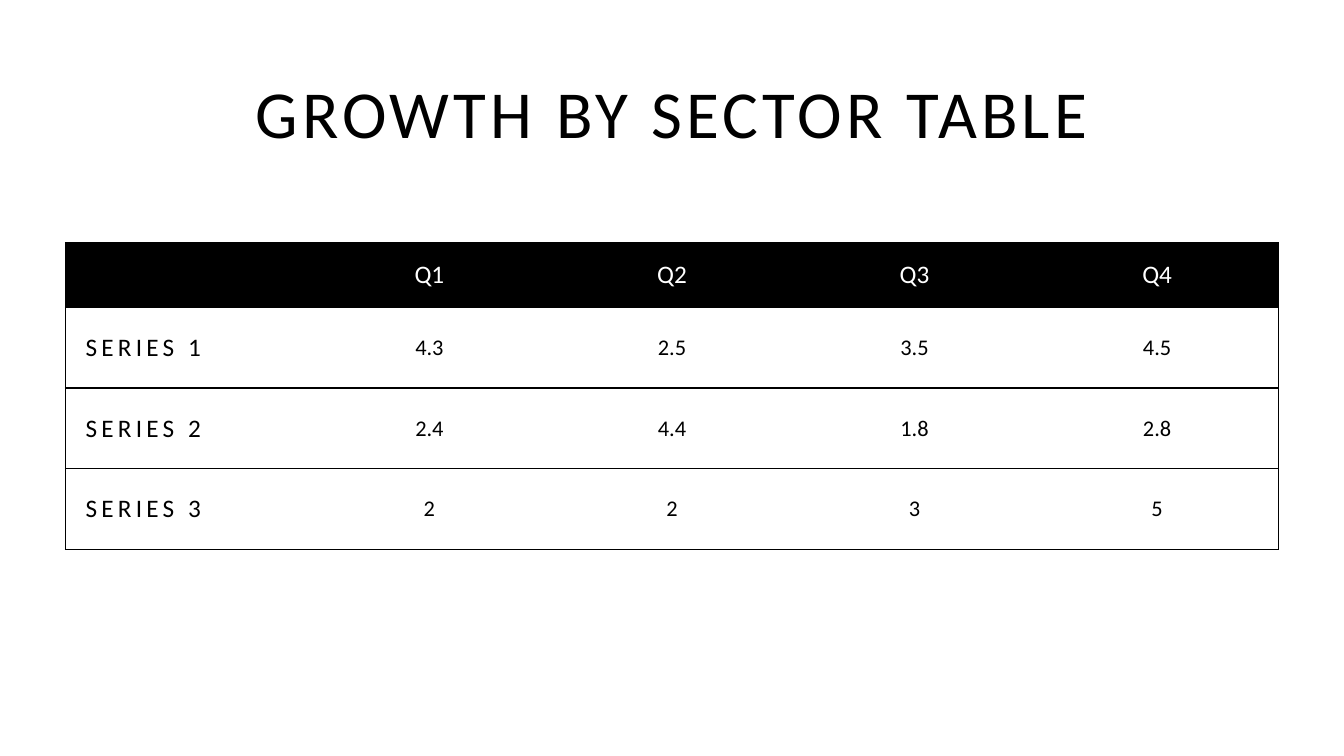
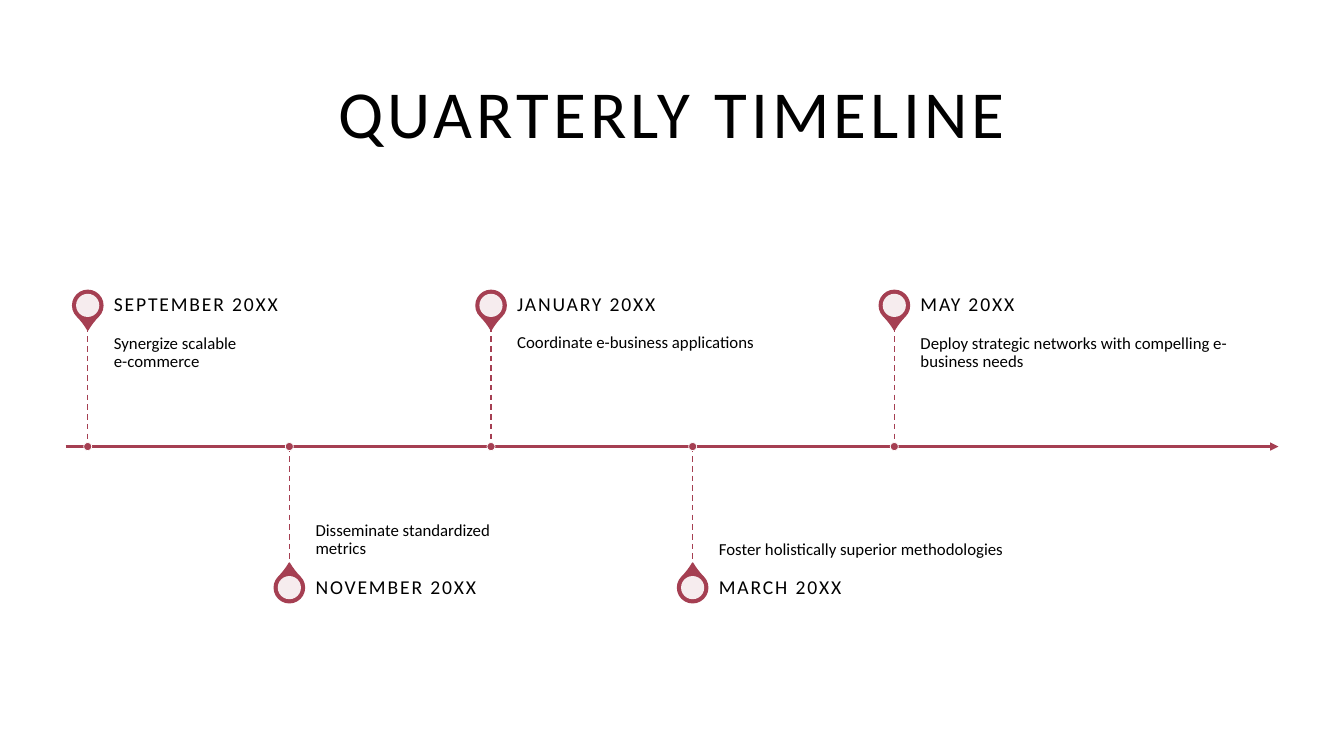
from pptx import Presentation
from pptx.dml.color import RGBColor
from pptx.enum.dml import MSO_LINE
from pptx.enum.shapes import MSO_CONNECTOR, MSO_SHAPE
from pptx.enum.text import MSO_ANCHOR, PP_ALIGN
from pptx.oxml.ns import qn
from pptx.util import Inches, Pt
from lxml import etree

BLACK = RGBColor(0x00, 0x00, 0x00)
WHITE = RGBColor(0xFF, 0xFF, 0xFF)
ROSE = RGBColor(0xA5, 0x3F, 0x52)
FONT = "Calibri"

LEFT, CENTER = PP_ALIGN.LEFT, PP_ALIGN.CENTER
TOP, MIDDLE, BOTTOM = MSO_ANCHOR.TOP, MSO_ANCHOR.MIDDLE, MSO_ANCHOR.BOTTOM
OVAL, TEARDROP = MSO_SHAPE.OVAL, MSO_SHAPE.TEAR
STRAIGHT, DASH = MSO_CONNECTOR.STRAIGHT, MSO_LINE.DASH

# Shared margins
MARGIN, CONTENT_W = 0.65, 12.03

# Growth table
HEADERS = ["", "Q1", "Q2", "Q3", "Q4"]
SERIES = [
    ["SERIES 1", "4.3", "2.5", "3.5", "4.5"],
    ["SERIES 2", "2.4", "4.4", "1.8", "2.8"],
    ["SERIES 3", "2", "2", "3", "5"],
]
TABLE_TOP, HEADER_H, ROW_H = 2.41, 0.64, 0.8

# Timeline: milestones alternate above and below the axis
AXIS_Y, FIRST_X, STEP = 4.43, 0.87, 2.0
STEM, LABEL_H, PIN_OFFSET = 1.19, 0.42, 1.4
TEXT_GAP, TEXT_W = 0.26, 3.33
MILESTONES = [
    ("SEPTEMBER 20XX", ["Synergize scalable", "e-commerce"]),
    ("NOVEMBER 20XX", ["Disseminate standardized", "metrics"]),
    ("JANUARY 20XX", ["Coordinate e-business applications"]),
    ("MARCH 20XX", ["Foster holistically superior methodologies"]),
    ("MAY 20XX", ["Deploy strategic networks with compelling e-business needs"]),
]


def add_run(p, text, size, color=BLACK, spacing=0):
    r = p.add_run()
    r.text = text
    r.font.name, r.font.size = FONT, Pt(size)
    r.font.color.rgb = color
    if spacing:
        r._r.get_or_add_rPr().set("spc", str(round(spacing * 100)))


def add_text(s, x, y, w, h, lines, size, spacing=0, anchor=MIDDLE,
             align=LEFT, insets=(0, 0, 0.1, 0), line_spacing=0.9):
    tf = s.shapes.add_textbox(Inches(x), Inches(y), Inches(w), Inches(h)).text_frame
    tf.word_wrap, tf.vertical_anchor = True, anchor
    tf.margin_left, tf.margin_top, tf.margin_right, tf.margin_bottom = map(Inches, insets)
    p = tf.paragraphs[0]
    p.alignment, p.line_spacing = align, line_spacing
    for i, line in enumerate(lines):
        if i:
            p.add_line_break()
        add_run(p, line, size, spacing=spacing)


def add_title(s, text):
    add_text(s, MARGIN, 0.15, CONTENT_W, 1.91, [text], 48, 3, align=CENTER,
             insets=(0.1, 0.05, 0.1, 0.05), line_spacing=1.0)


def add_centered_shape(s, kind, cx, cy, size, fill, line=None, line_w=1):
    sp = s.shapes.add_shape(kind, Inches(cx - size / 2), Inches(cy - size / 2),
                            Inches(size), Inches(size))
    sp.shadow.inherit = False
    sp.fill.solid()
    sp.fill.fore_color.rgb = fill
    if line is None:
        sp.line.fill.background()
    else:
        sp.line.color.rgb, sp.line.width = line, Pt(line_w)
    return sp


def add_line(s, x1, y1, x2, y2, width, dash=None, arrow=False):
    line = s.shapes.add_connector(STRAIGHT, Inches(x1), Inches(y1), Inches(x2), Inches(y2))
    line.line.color.rgb, line.line.width = ROSE, Pt(width)
    if dash:
        line.line.dash_style = dash
    if arrow:
        etree.SubElement(line.line._get_or_add_ln(), qn("a:tailEnd"), type="triangle")
    etree.SubElement(line._element.spPr, qn("a:effectLst"))


def set_borders(cell, visible_sides):
    tcPr = cell._tc.get_or_add_tcPr()
    for side in "LRTB":
        ln = etree.SubElement(tcPr, qn(f"a:ln{side}"), w=str(Pt(1)))
        if side in visible_sides:
            fill = etree.SubElement(ln, qn("a:solidFill"))
            etree.SubElement(fill, qn("a:srgbClr"), val=str(BLACK))
        else:
            etree.SubElement(ln, qn("a:noFill"))


def add_growth_table(s):
    rows = [HEADERS] + SERIES
    heights = [HEADER_H] + [ROW_H] * len(SERIES)
    table = s.shapes.add_table(len(rows), len(HEADERS), Inches(MARGIN), Inches(TABLE_TOP),
                               Inches(CONTENT_W), Inches(sum(heights))).table
    table.first_row = table.horz_banding = False
    for row, height in zip(table.rows, heights):
        row.height = Inches(height)
    last = len(HEADERS) - 1
    for i, values in enumerate(rows):
        for j, value in enumerate(values):
            cell = table.cell(i, j)
            set_borders(cell, "TB" + ("L" if j == 0 else "") + ("R" if j == last else ""))
            cell.fill.solid()
            cell.fill.fore_color.rgb = WHITE if i else BLACK
            cell.vertical_anchor = MIDDLE
            if not value:
                continue
            p = cell.text_frame.paragraphs[0]
            p.alignment = CENTER if j else LEFT
            if i == 0:
                add_run(p, value, 18, WHITE)
            elif j == 0:
                cell.margin_left = Inches(0.2)
                add_run(p, value, 18, spacing=3)
            else:
                add_run(p, value, 16)


def add_pin(s, cx, cy, rotation):
    drop = add_centered_shape(s, TEARDROP, cx, cy, 0.3, ROSE, ROSE)
    drop.adjustments[0] = 1.15
    drop.rotation = rotation
    # Slightly see-through centre
    eye = add_centered_shape(s, OVAL, cx, cy, 0.23, WHITE)
    color = eye._element.spPr.find(qn("a:solidFill"))[0]
    etree.SubElement(color, qn("a:alpha"), val="90000")


def add_milestone(s, x, above, date, lines):
    side = -1 if above else 1
    stem_end = AXIS_Y + side * STEM
    text_x = x + TEXT_GAP
    add_pin(s, x, AXIS_Y + side * PIN_OFFSET, 135 if above else 315)
    if above:
        add_text(s, text_x, stem_end, TEXT_W, STEM, lines, 12, anchor=TOP,
                 insets=(0, 0.08, 0.08, 0.12))
    else:
        add_text(s, text_x, AXIS_Y, TEXT_W, STEM, lines, 12, anchor=BOTTOM,
                 insets=(0, 0.12, 0, 0.08))
    label_y = stem_end - LABEL_H if above else stem_end
    add_text(s, text_x, label_y, TEXT_W, LABEL_H, [date], 14, 1.3)
    add_line(s, x, min(stem_end, AXIS_Y), x, max(stem_end, AXIS_Y), 1, DASH)
    add_centered_shape(s, OVAL, x, AXIS_Y, 0.08, ROSE, WHITE, 0.5)


def add_timeline(s):
    add_line(s, MARGIN, AXIS_Y, MARGIN + CONTENT_W, AXIS_Y, 1.5, arrow=True)
    for i, (date, lines) in enumerate(MILESTONES):
        add_milestone(s, FIRST_X + i * STEP, i % 2 == 0, date, lines)


def main():
    prs = Presentation()
    prs.slide_width, prs.slide_height = Inches(13.33), Inches(7.5)
    for title, add_content in [("GROWTH BY SECTOR TABLE", add_growth_table),
                               ("QUARTERLY TIMELINE", add_timeline)]:
        s = prs.slides.add_slide(prs.slide_layouts[6])
        add_title(s, title)
        add_content(s)
    prs.save("out.pptx")


if __name__ == "__main__":
    main()
